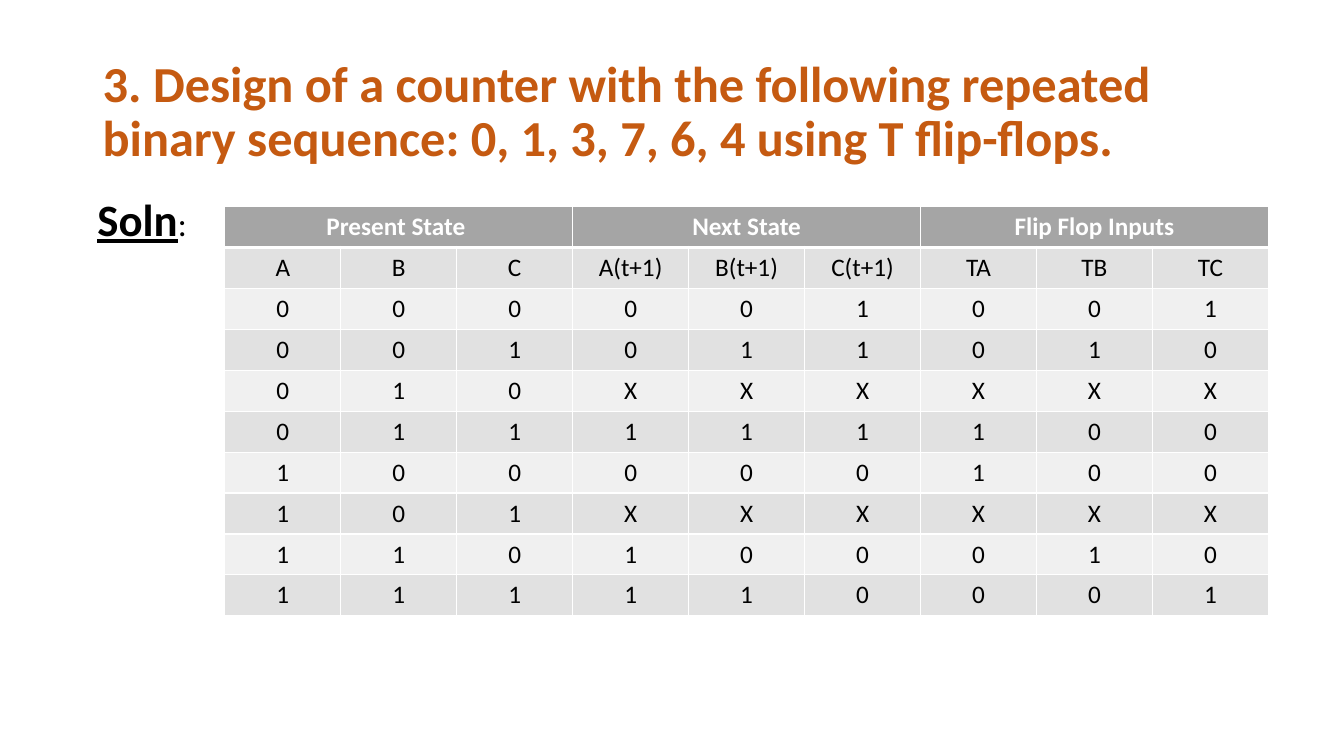
from dataclasses import dataclass

from lxml import etree
from pptx import Presentation
from pptx import util as u
from pptx.dml import color as c
from pptx.enum import text
from pptx.oxml import ns


@dataclass(frozen=True)
class Theme:
    font: str = "Calibri"
    title: str = "C55A11"
    ink: str = "000000"
    white: str = "FFFFFF"
    header: str = "A5A5A5"
    bands: tuple = ("F0F0F0", "E1E1E1")
    title_size: int = 36
    label_size: int = 32
    colon_size: int = 24
    table_size: int = 18


theme = Theme()


def add_span(para, words, size, color=theme.ink, bold=False, underline=False,
             align=text.PP_ALIGN.CENTER):
    para.alignment = align
    span = para.add_run()
    span.text = words
    font = span.font
    font.name, font.size = theme.font, u.Pt(size)
    font.bold, font.underline = bold, underline
    font.color.rgb = c.RGBColor.from_string(color)


def style_cell(cell, fill, top=1, bottom=1):
    cell.fill.solid()
    cell.fill.fore_color.rgb = c.RGBColor.from_string(fill)
    properties = cell._tc.get_or_add_tcPr()
    # Borders come before the fill, in this order
    sides = {"lnL": 1, "lnR": 1, "lnT": top, "lnB": bottom}
    for position, (side, width) in enumerate(sides.items()):
        line = etree.Element(ns.qn(f"a:{side}"), w=str(u.Pt(width)))
        solid = etree.SubElement(line, ns.qn("a:solidFill"))
        etree.SubElement(solid, ns.qn("a:srgbClr"), val=theme.white)
        properties.insert(position, line)


deck = Presentation()
deck.slide_width, deck.slide_height = u.Inches(13.33), u.Inches(7.5)
page = deck.slides.add_slide(deck.slide_layouts[6])

# Title
box = page.shapes.add_textbox(u.Inches(0.92), u.Inches(0.4), u.Inches(11.5), u.Inches(1.45))
box.text_frame.word_wrap = True
box.text_frame.vertical_anchor = text.MSO_ANCHOR.MIDDLE
para = box.text_frame.paragraphs[0]
para.line_spacing = 0.9
add_span(para, "3. Design of a counter with the following repeated binary sequence: "
         "0, 1, 3, 7, 6, 4 using T flip-flops.",
         theme.title_size, theme.title, bold=True, align=text.PP_ALIGN.LEFT)

# State table
groups = ["Present State ", "Next State", "Flip Flop Inputs"]
state_rows = [
    "A B C A(t+1) B(t+1) C(t+1) TA TB TC",
    "0 0 0 0 0 1 0 0 1",
    "0 0 1 0 1 1 0 1 0",
    "0 1 0 X X X X X X",
    "0 1 1 1 1 1 1 0 0",
    "1 0 0 0 0 0 1 0 0",
    "1 0 1 X X X X X X",
    "1 1 0 1 0 0 0 1 0",
    "1 1 1 1 1 0 0 0 1",
]
group_width = 3
table = page.shapes.add_table(
    len(state_rows) + 1, group_width * len(groups),
    u.Inches(2.23), u.Inches(2.05), u.Inches(10.35), u.Inches(4.06)).table
table.horz_banding = False

for cell in table.rows[0].cells:
    style_cell(cell, theme.header, bottom=3)
for index, group in enumerate(groups):
    first = index * group_width
    cell = table.cell(0, first)
    cell.merge(table.cell(0, first + group_width - 1))
    add_span(cell.text_frame.paragraphs[0], group, theme.table_size, theme.white, bold=True)

for row, values in enumerate(state_rows, start=1):
    for column, value in enumerate(values.split()):
        cell = table.cell(row, column)
        style_cell(cell, theme.bands[row % 2], top=3 if row == 1 else 1)
        add_span(cell.text_frame.paragraphs[0], value, theme.table_size)

# Solution label
box = page.shapes.add_textbox(u.Inches(0.69), u.Inches(1.85), u.Inches(1.44), u.Inches(0.64))
box.text_frame.word_wrap = True
box.text_frame.auto_size = text.MSO_AUTO_SIZE.SHAPE_TO_FIT_TEXT
para = box.text_frame.paragraphs[0]
add_span(para, "Soln", theme.label_size, bold=True, underline=True)
add_span(para, ":", theme.colon_size)

deck.save("out.pptx")
